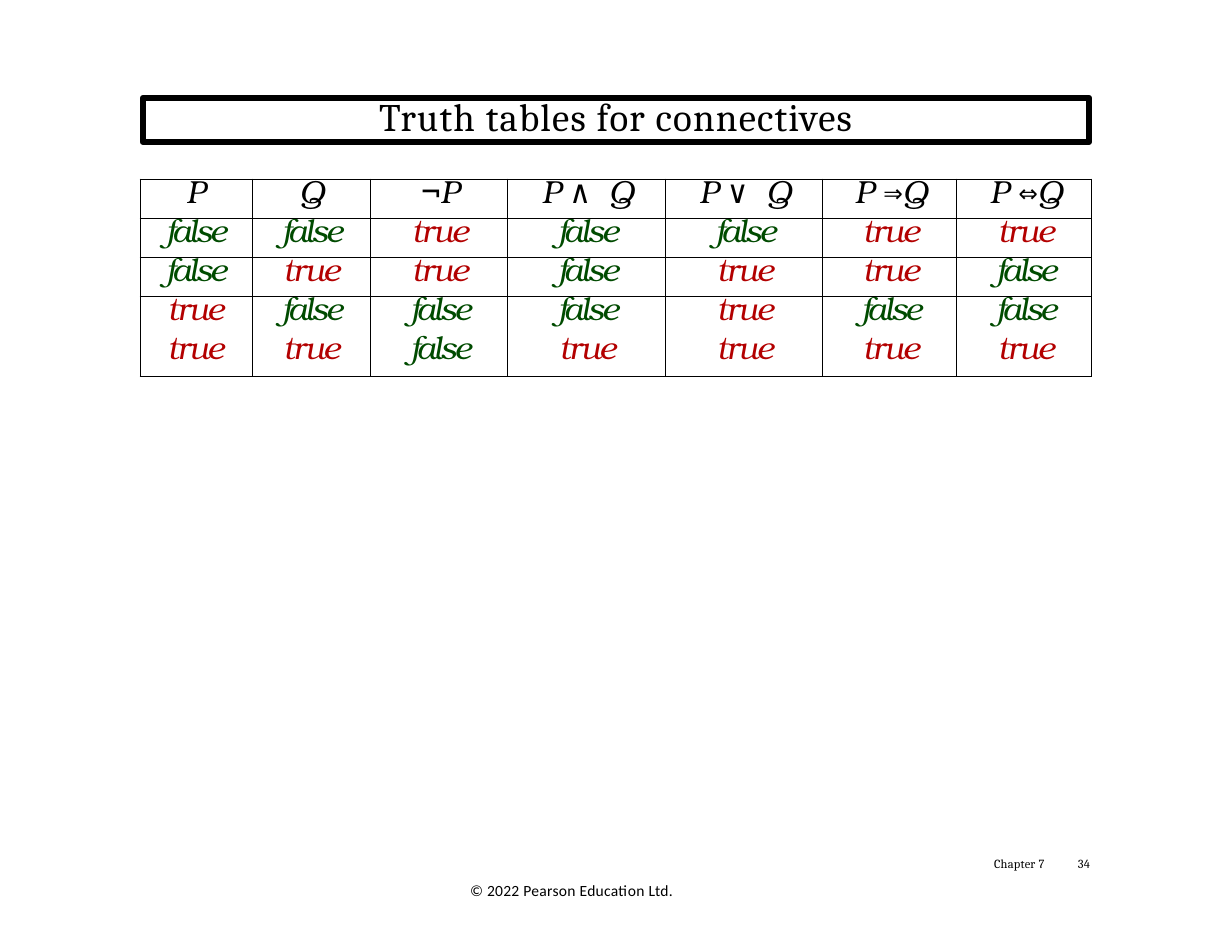
"""Build a slide with the truth tables of the five logical connectives."""
from itertools import product

from lxml import etree
from pptx import Presentation
from pptx.dml.color import RGBColor
from pptx.enum.text import PP_ALIGN as Align
from pptx.oxml.ns import qn
from pptx.util import Pt

PX = 914400 // 112
BLACK, GREEN, RED = "000000", "004B00", "B30000"
SERIF, MATH, MONO = "Cambria", "TeX Gyre Bonum", "DejaVu Sans Mono"
rgb = RGBColor.from_string


def write(p, text, font=SERIF, size=8, color=BLACK, italic=False, spc=0,
          leading=None, align=None, indent=0):
    r = p.add_run()
    r.text = text
    r.font.name, r.font.size, r.font.italic = font, Pt(size), italic
    r.font.color.rgb = rgb(color)
    r._r.get_or_add_rPr().set("spc", str(round(spc * 100)))
    if leading:
        p.line_spacing = Pt(leading)
    if align is not None:
        p.alignment = align
    p._p.get_or_add_pPr().set("marL", str(indent * PX))


def add_box(x, y, w, h, inset=0):
    sp = s.shapes.add_textbox(x * PX, y * PX, w * PX, h * PX)
    tf = sp.text_frame
    tf.word_wrap = True
    if not inset:
        tf.margin_left = tf.margin_right = tf.margin_top = tf.margin_bottom = 0
    return sp, tf.paragraphs[0]


prs = Presentation()
prs.slide_width, prs.slide_height = 1232 * PX, 952 * PX
s = prs.slides.add_slide(prs.slide_layouts[6])

title, p = add_box(143, 98, 946, 44)
title.line.color.rgb = rgb(BLACK)
title.line.width = Pt(4.08)
write(p, "Truth tables for connectives", size=25, spc=0.8, leading=26.4, align=Align.CENTER)

sp, p = add_box(993, 858, 60, 16)
write(p, "Chapter 7", spc=0.13, leading=8.6, indent=1)
sp, p = add_box(1074, 858, 24, 16)
write(p, "34", spc=0.2, leading=8.6, indent=4)
sp, p = add_box(459, 875, 420, 49, inset=1)
write(p, "© 2022 Pearson Education Ltd.", font="Calibri", size=10, spc=0.2)

columns = [
    (112, 0, ["P"], lambda a, b: a),
    (118, 2, ["Q"], lambda a, b: b),
    (137, 4, ["¬", "P"], lambda a, b: not a),
    (158, 4, ["P ", "∧ ", "Q"], lambda a, b: a and b),
    (157, 4, ["P ", "∨ ", "Q"], lambda a, b: a or b),
    (135, 4, ["P ", "⇒", "Q"], lambda a, b: not a or b),
    (135, 4, ["P ", "⇔", "Q"], lambda a, b: a == b),
]
heights = [39, 39, 39, 39, 41]
cases = list(product((False, True), repeat=2))

frame = s.shapes.add_table(len(heights), len(columns), 140 * PX, 179 * PX,
                           952 * PX, sum(heights) * PX)
table = frame.table
table.first_row = table.horz_banding = False
table._tbl.tblPr.find(qn("a:tableStyleId")).text = "{2D5ABB26-0587-4C30-8999-92F81FD0307C}"
for row, height in zip(table.rows, heights):
    row.height = height * PX

for c, (width, indent, heading, rule) in enumerate(columns):
    table.columns[c].width = width * PX
    for i in range(len(heights)):
        cell = table.cell(i, c)
        cell.margin_left = cell.margin_right = cell.margin_top = cell.margin_bottom = 0
        cell.fill.background()
        p = cell.text_frame.paragraphs[0]
        fmt = dict(size=20.5, leading=21.8, align=Align.CENTER, indent=indent)
        if i == 0:
            for part in heading:
                is_letter = part.strip() in "PQ"
                write(p, part, font=MATH if is_letter else MONO, italic=is_letter,
                      spc=-0.9 if part == "¬" else 0, **fmt)
        elif rule(*cases[i - 1]):
            write(p, "true", font=MATH, color=RED, italic=True, spc=-0.9, **fmt)
        else:
            write(p, "false", font=MATH, color=GREEN, italic=True, spc=-1.7, **fmt)

        sides = "LR" + "T" * (i < 3) + "B" * (i in (0, 1, 4))
        tcPr = cell._tc.get_or_add_tcPr()
        for n, side in enumerate(sides):
            ln = etree.Element(qn(f"a:ln{side}"), w=str(Pt(0.5)))
            fill = etree.SubElement(ln, qn("a:solidFill"))
            etree.SubElement(fill, qn("a:srgbClr"), val=BLACK)
            tcPr.insert(n, ln)

prs.save("out.pptx")
